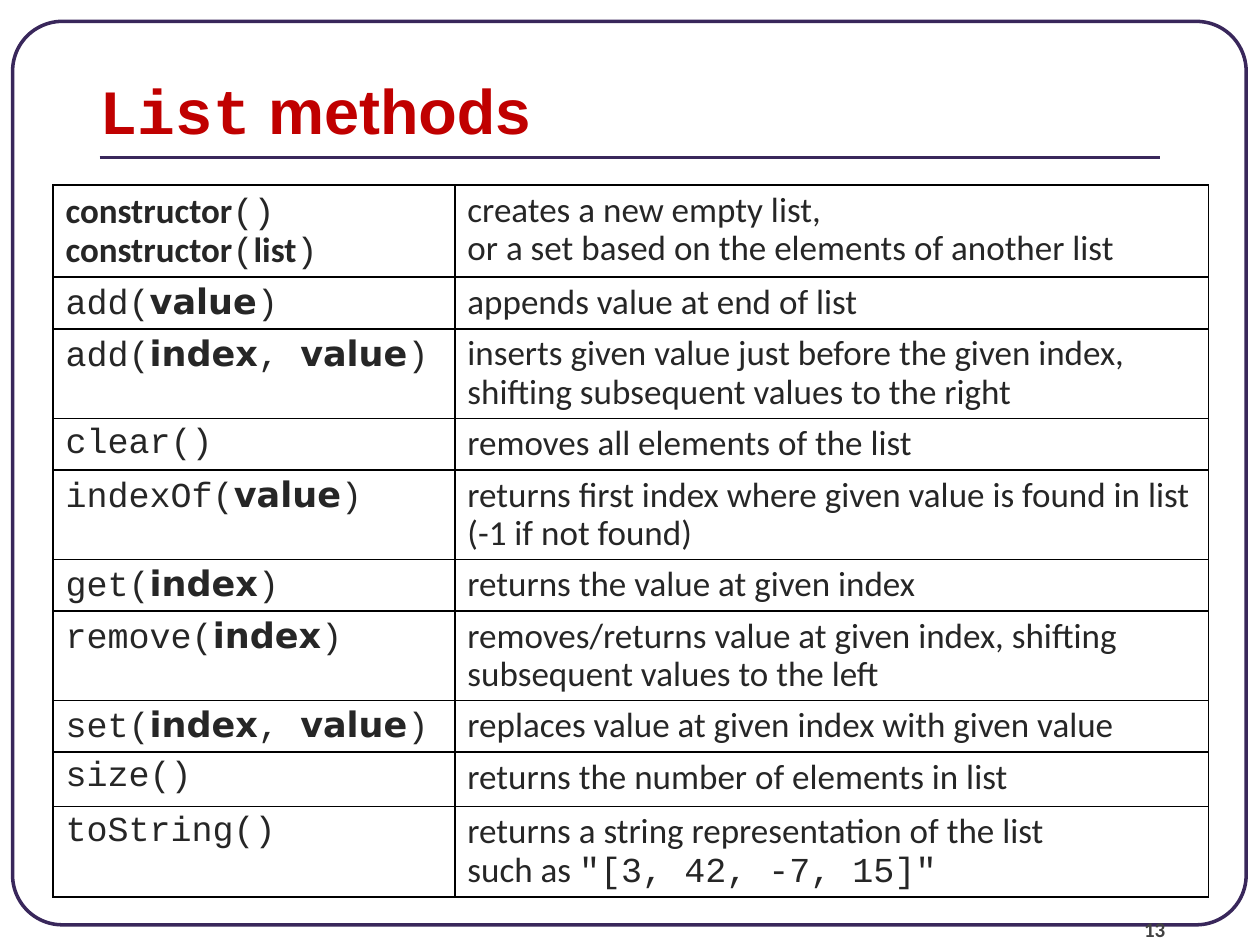
from lxml import etree
from pptx import Presentation
from pptx.dml.color import RGBColor
from pptx.enum import shapes, text
from pptx.oxml import ns
from pptx.util import Inches, Pt

COLORS = {"frame": "39275B", "title": "C00000", "body": "262626",
          "number": "424242", "border": "000000", "paper": "FFFFFF"}
STYLES = {"code": ("Courier New", False), "argument": ("DejaVu Sans", True),
          "label": ("Calibri", True), "prose": ("Calibri", False),
          "title code": ("Courier New", True), "title": ("Arial", True)}
VALUE, INDEX = ("argument", "value"), ("argument", "index")
CLOSE, COMMA = ("code", ")"), ("code", ", ")
METHODS = [
    (0.73, [("label", "constructor"), ("code", "()\n"), ("label", "constructor"),
            ("code", "("), ("label", "list"), CLOSE],
     [[("prose", "creates a new empty list,\nor a set based on the elements of another list")]]),
    (0.41, [("code", "add("), VALUE, CLOSE],
     [[("prose", "appends value at end of list")]]),
    (0.71, [("code", "add("), INDEX, COMMA, VALUE, CLOSE],
     [[("prose", "inserts given value just before the given index, "
                 "shifting subsequent values to the right")]]),
    (0.41, [("code", "clear()")], [[("prose", "removes all elements of the list")]]),
    (0.71, [("code", "indexOf("), VALUE, CLOSE],
     [[("prose", "returns first index where given value is found in list (-1 if not found)")]]),
    (0.41, [("code", "get("), INDEX, CLOSE],
     [[("prose", "returns the value at given index")]]),
    (0.71, [("code", "remove("), INDEX, CLOSE],
     [[("prose", "removes/returns value at given index, "
                 "shifting subsequent values to the left")]]),
    (0.41, [("code", "set("), INDEX, COMMA, VALUE, CLOSE],
     [[("prose", "replaces value at given index with given value")]]),
    (0.43, [("code", "size()")], [[("prose", "returns the number of elements in list")]]),
    (0.72, [("code", "toString()")],
     [[("prose", "returns a string representation of the list")],
      [("prose", "such as "), ("code", '"[3, 42, -7, 15]"')]]),
]


def color(name):
    """Return the named colour."""
    return RGBColor.from_string(COLORS[name])


def write_runs(paragraph, runs, size, color_name):
    """Fill a paragraph with styled runs, turning newlines into line breaks."""
    paragraph.line_spacing = 0.9
    paragraph.font.size = Pt(size)
    paragraph.font.color.rgb = color(color_name)
    for style, words in runs:
        for position, line in enumerate(words.split("\n")):
            if position:
                paragraph.add_line_break()
            if line:
                run = paragraph.add_run()
                run.text = line
                run.font.name, run.font.bold = STYLES[style]
                run.font.size = Pt(size)
                run.font.color.rgb = color(color_name)


def add_frame(slide, left, top, width, height):
    """Draw the rounded border of the slide."""
    frame = slide.shapes.add_shape(shapes.MSO_SHAPE.ROUNDED_RECTANGLE,
                                   left, top, width, height)
    frame.adjustments[0] = 0.055
    frame.shadow.inherit = False
    frame.fill.solid()
    frame.fill.fore_color.rgb = color("paper")
    frame.line.color.rgb = color("frame")
    frame.line.width = Pt(2)


def add_title(slide, left, top, width, height):
    """Write the title and the rule below it."""
    rule_y = Inches(1.25)
    rule = slide.shapes.add_connector(shapes.MSO_CONNECTOR.STRAIGHT,
                                      left + Inches(0.1), rule_y,
                                      left + width - Inches(0.1), rule_y)
    rule.line.color.rgb = color("frame")
    rule.line.width = Pt(2.25)
    etree.SubElement(rule._element.spPr, ns.qn("a:effectLst"))
    frame = slide.shapes.add_textbox(left, top, width, height).text_frame
    frame.word_wrap = True
    frame.vertical_anchor = text.MSO_ANCHOR.MIDDLE
    write_runs(frame.paragraphs[0], [("title code", "List"), ("title", " methods")], 36, "title")


def add_page_number(slide, left, top, width, height):
    """Write the page number at the bottom of its box."""
    frame = slide.shapes.add_textbox(left, top, width, height).text_frame
    frame.word_wrap = True
    frame.vertical_anchor = text.MSO_ANCHOR.BOTTOM
    frame.margin_left = frame.margin_right = frame.margin_top = frame.margin_bottom = 0
    write_runs(frame.paragraphs[0], [("label", "13")], 12, "number")


def set_borders(cell):
    """Give a cell thin borders on all sides and no fill."""
    properties = cell._tc.get_or_add_tcPr()
    for side in ("a:lnL", "a:lnR", "a:lnT", "a:lnB"):
        line = etree.SubElement(properties, ns.qn(side), w=str(Pt(1)))
        fill = etree.SubElement(line, ns.qn("a:solidFill"))
        etree.SubElement(fill, ns.qn("a:srgbClr"), val=COLORS["border"])
    cell.fill.background()


def add_methods(slide, left, top, width, height):
    """Place the table of method signatures and descriptions."""
    table = slide.shapes.add_table(len(METHODS), 2, left, top, width, height).table
    table.first_row = table.horz_banding = False
    table.columns[0].width = Inches(3.19)
    table.columns[1].width = width - Inches(3.19)
    for row, (row_height, signature, description) in zip(table.rows, METHODS):
        row.height = Inches(row_height)
        for cell, paragraphs in zip(row.cells, ([signature], description)):
            set_borders(cell)
            frame = cell.text_frame
            for position, runs in enumerate(paragraphs):
                paragraph = frame.add_paragraph() if position else frame.paragraphs[0]
                write_runs(paragraph, runs, 20, "body")


def main():
    """Build the slide and save it."""
    presentation = Presentation()
    presentation.slide_width, presentation.slide_height = Inches(10), Inches(7.5)
    slide = presentation.slides.add_slide(presentation.slide_layouts[6])
    add_frame(slide, Inches(0.1), Inches(0.17), Inches(9.79), Inches(7.17))
    add_page_number(slide, Inches(9.08), Inches(7.08), Inches(0.83), Inches(0.4))
    add_title(slide, Inches(0.69), Inches(0.18), Inches(8.62), Inches(1.45))
    add_methods(slide, Inches(0.42), Inches(1.47), Inches(9.17), Inches(5.65))
    presentation.save("out.pptx")


if __name__ == "__main__":
    main()
